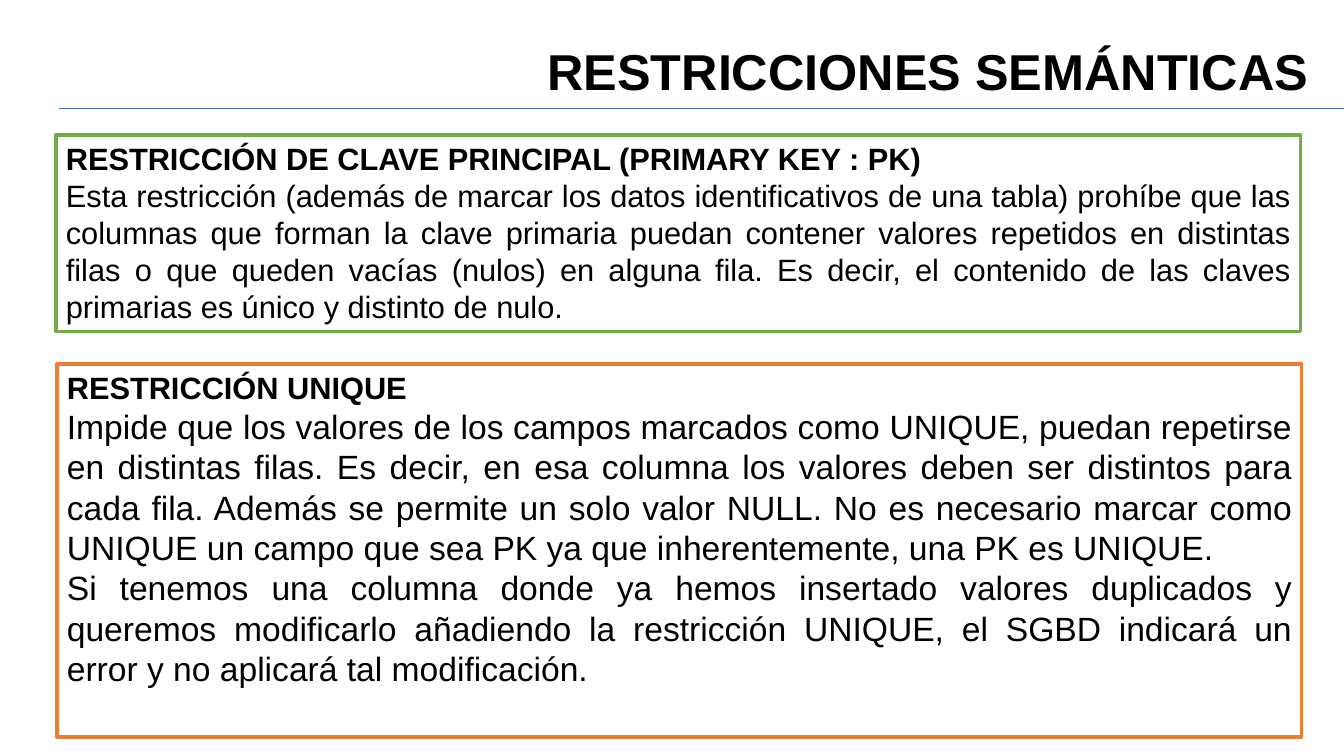
from dataclasses import dataclass

from lxml import etree
from pptx import Presentation
from pptx.dml.color import RGBColor
from pptx.enum.shapes import MSO_CONNECTOR, MSO_SHAPE
from pptx.enum.text import MSO_ANCHOR, PP_ALIGN
from pptx.oxml.ns import qn
from pptx.util import Emu, Pt

PIXEL = 914400 / 100.8
RECTANGLE = MSO_SHAPE.RECTANGLE
STRAIGHT = MSO_CONNECTOR.STRAIGHT
TOP, MIDDLE = MSO_ANCHOR.TOP, MSO_ANCHOR.MIDDLE
LEFT, RIGHT, JUSTIFY = PP_ALIGN.LEFT, PP_ALIGN.RIGHT, PP_ALIGN.JUSTIFY


@dataclass(frozen=True)
class Theme:
    """Colours, font and type sizes of the slide."""
    font: str = "Arial"
    text: str = "000000"
    paper: str = "FFFFFF"
    rule: str = "4472C4"
    primary_key: str = "70AD47"
    unique: str = "ED7D31"
    title_size: int = 36
    heading_size: int = 22
    large_size: int = 24
    rule_width: float = 0.5
    border_width: float = 2.25


def px(value):
    """Turn pixels into EMU."""
    return Emu(round(value * PIXEL))


def rgb(value):
    """Turn a hex string into a colour."""
    return RGBColor.from_string(value)


class SlideBuilder:
    """Draws styled elements on one slide."""

    def __init__(self, slide, theme):
        """Keep the slide and its style."""
        self.slide = slide
        self.theme = theme

    def set_text(self, paragraph, text, size, bold=False, align=LEFT):
        """Set the text and format of a paragraph."""
        paragraph.text = text
        paragraph.alignment = align
        for run in paragraph.runs:
            run.font.name = self.theme.font
            run.font.size = Pt(size)
            run.font.bold = bold
            run.font.color.rgb = rgb(self.theme.text)

    def title(self, text, left, top, width, height):
        """Add the right-aligned slide title."""
        frame = self.slide.shapes.add_textbox(
            px(left), px(top), px(width), px(height)).text_frame
        frame.word_wrap = True
        frame.vertical_anchor = MIDDLE
        paragraph = frame.paragraphs[0]
        self.set_text(paragraph, text, self.theme.title_size, True, RIGHT)
        paragraph.line_spacing = 0.9

    def rule(self, left, right, y):
        """Add a thin horizontal line."""
        line = self.slide.shapes.add_connector(
            STRAIGHT, px(left), px(y), px(right), px(y))
        line.line.color.rgb = rgb(self.theme.rule)
        line.line.width = Pt(self.theme.rule_width)
        etree.SubElement(line._element.spPr, qn("a:effectLst"))

    def panel(self, bounds, color, heading, body, body_size):
        """Add a bordered box with a heading and justified paragraphs."""
        shape = self.slide.shapes.add_shape(RECTANGLE, *map(px, bounds))
        shape.shadow.inherit = False
        shape.fill.solid()
        shape.fill.fore_color.rgb = rgb(self.theme.paper)
        shape.line.color.rgb = rgb(color)
        shape.line.width = Pt(self.theme.border_width)
        frame = shape.text_frame
        frame.word_wrap = True
        frame.vertical_anchor = TOP
        self.set_text(frame.paragraphs[0], heading, self.theme.heading_size, True)
        for text in body:
            self.set_text(frame.add_paragraph(), text, body_size, align=JUSTIFY)


PRIMARY_KEY_TEXT = [
    "Esta restricción (además de marcar los datos identificativos de una tabla) "
    "prohíbe que las columnas que forman la clave primaria puedan contener valores "
    "repetidos en distintas filas o que queden vacías (nulos) en alguna fila. Es "
    "decir, el contenido de las claves primarias es único y distinto de nulo.",
]
UNIQUE_TEXT = [
    "Impide que los valores de los campos marcados como UNIQUE, puedan repetirse en "
    "distintas filas. Es decir, en esa columna los valores deben ser distintos para "
    "cada fila. Además se permite un solo valor NULL. No es necesario marcar como "
    "UNIQUE un campo que sea PK ya que inherentemente, una PK es UNIQUE.",
    "Si tenemos una columna donde ya hemos insertado valores duplicados y queremos "
    "modificarlo añadiendo la restricción UNIQUE, el SGBD indicará un error y no "
    "aplicará tal modificación.",
]


def main():
    """Build and save the slide."""
    presentation = Presentation()
    presentation.slide_width, presentation.slide_height = px(1344), px(756)
    theme = Theme()
    slide = presentation.slides.add_slide(presentation.slide_layouts[6])
    builder = SlideBuilder(slide, theme)
    builder.title("RESTRICCIONES SEMÁNTICAS", 62, 39, 1257, 70)
    builder.rule(59, 1344, 108)
    builder.panel((56, 135, 1245, 197), theme.primary_key,
                  "RESTRICCIÓN DE CLAVE PRINCIPAL (PRIMARY KEY : PK)",
                  PRIMARY_KEY_TEXT, theme.heading_size)
    builder.panel((57, 364, 1245, 373), theme.unique,
                  "RESTRICCIÓN UNIQUE", UNIQUE_TEXT, theme.large_size)
    presentation.save("out.pptx")


main()
